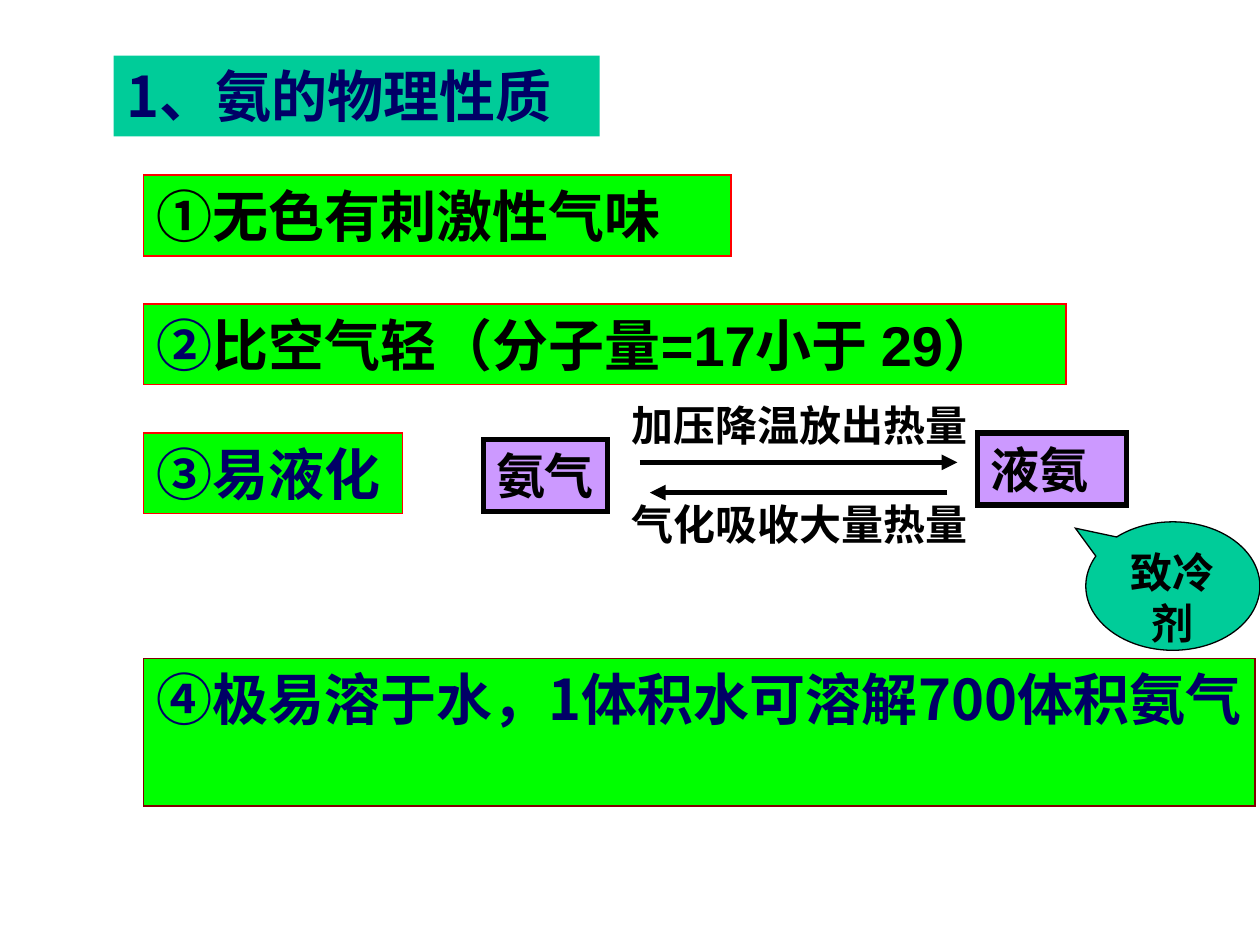
import pptx
import pptx.util
import pptx.dml.color
import pptx.enum.shapes
import pptx.enum.text
import pptx.oxml
import pptx.oxml.ns
from dataclasses import dataclass

Cm, Pt = pptx.util.Cm, pptx.util.Pt
SHAPES = pptx.enum.shapes.MSO_SHAPE
ALIGN = pptx.enum.text.PP_ALIGN
AUTO = pptx.enum.text.MSO_AUTO_SIZE
TOP = pptx.enum.text.MSO_ANCHOR.TOP
NAMES = pptx.oxml.ns.nsdecls("a")


@dataclass(frozen=True)
class Theme:
    teal: str = "00CC99"
    green: str = "00FF00"
    violet: str = "CC99FF"
    navy: str = "000066"
    black: str = "000000"
    red: str = "FF0000"
    maroon: str = "800000"
    chinese: str = "Noto Sans CJK SC"
    latin: str = "Arial"
    large: int = 32
    medium: int = 28
    small: int = 24
    thin: float = 0.75
    thick: float = 3


THEME = Theme()
NAVY = (THEME.chinese, THEME.navy)
BLACK = (THEME.latin, THEME.black)
BLACK_CHINESE = (THEME.chinese, THEME.black)


def colour(value):
    return pptx.dml.color.RGBColor.from_string(value)


def apply(target, formats):
    for name, value in formats.items():
        setattr(target, name, value)


def paint(shape, fill=None, line=None, width=THEME.thin):
    if fill:
        shape.fill.solid()
        shape.fill.fore_color.rgb = colour(fill)
    if line:
        shape.line.color.rgb = colour(line)
        shape.line.width = Pt(width)
        # Square corners
        shape.line._get_or_add_ln().append(
            pptx.oxml.parse_xml(f'<a:miter {NAMES} lim="800000"/>'))
    else:
        shape.line.fill.background()


def write(shape, spans, size, align=ALIGN.LEFT, wrap=True, fit=AUTO.NONE):
    """Write spans of (text, (font, colour)) as one bold paragraph."""
    frame = shape.text_frame
    apply(frame, {"word_wrap": wrap, "auto_size": fit, "vertical_anchor": TOP})
    para = frame.paragraphs[0]
    para.alignment = align
    for text, (font, ink) in spans:
        span = para.add_run()
        span.text = text
        span.font.color.rgb = colour(ink)
        apply(span.font, {"size": Pt(size), "bold": True, "name": font})
        east_asian = pptx.oxml.parse_xml(
            f'<a:ea {NAMES} typeface="{THEME.chinese}"/>')
        span.font._element.find(pptx.oxml.ns.qn("a:latin")).addnext(east_asian)


def add_panel(page, box, fill, line, width=THEME.thin, kind=SHAPES.RECTANGLE):
    panel = page.shapes.add_shape(kind, *map(Cm, box))
    panel.shadow.inherit = False
    paint(panel, fill, line, width)
    return panel


def add_arrow(page, start, end, y):
    arrow = page.shapes.add_connector(
        pptx.enum.shapes.MSO_CONNECTOR.STRAIGHT, Cm(start), Cm(y), Cm(end), Cm(y))
    paint(arrow, line=THEME.black, width=THEME.thick)
    arrow.line._get_or_add_ln().append(
        pptx.oxml.parse_xml(f'<a:tailEnd {NAMES} type="triangle"/>'))
    arrow._element.spPr.append(pptx.oxml.parse_xml(f"<a:effectLst {NAMES}/>"))


def add_title(page, box):
    title = page.shapes.title
    apply(title, dict(zip(("left", "top", "width", "height"), map(Cm, box))))
    paint(title, THEME.teal)
    write(title, [("1、氨的物理性质", NAVY)], THEME.large)


def add_facts(page, left, top):
    # The first three facts share a pitch; the last one sits lower
    pitch = 2.6
    facts = [
        (0, 11.84, 1.63, THEME.red, [("①无色有刺激性气味", BLACK)]),
        (pitch, 18.59, 1.63, THEME.red,
         [("②", NAVY), ("比空气轻（分子量=17小于 29）", BLACK)]),
        (2 * pitch, 5.21, 1.63, THEME.red, [("③易液化", NAVY)]),
        (9.75, 22.4, 2.97, THEME.maroon,
         [("④极易溶于水，1体积水可溶解700体积氨气", NAVY)]),
    ]
    for offset, width, height, line, spans in facts:
        panel = add_panel(page, (left, top + offset, width, height), THEME.green, line)
        write(panel, spans, THEME.large, fit=AUTO.SHAPE_TO_FIT_TEXT)


def add_liquefaction(page, left, top):
    # Gas and liquid states
    states = [("氨气", 0, 0.94, 2.5, False), ("液氨", 9.96, 0.81, 3.0, True)]
    for text, x, y, width, wrap in states:
        panel = add_panel(page, (left + x, top + y, width, 1.45),
                          THEME.violet, THEME.black, THEME.thick)
        write(panel, [(text, BLACK_CHINESE)], THEME.medium, wrap=wrap)

    # Forward and reverse arrows with their conditions
    changes = [("加压降温放出热量", 0, 3.15, 9.55, 1.4),
               ("气化吸收大量热量", 2.01, 9.35, 3.35, 2.01)]
    for text, label_y, start, end, arrow_y in changes:
        label = page.shapes.add_textbox(
            Cm(left + 2.74), Cm(top + label_y), Cm(7.59), Cm(1.27))
        write(label, [(text, BLACK)], THEME.small, fit=AUTO.SHAPE_TO_FIT_TEXT)
        add_arrow(page, left + start, left + end, top + arrow_y)

    # Use of liquid ammonia
    callout = add_panel(page, (left + 12.14, top + 2.6, 3.51, 2.59), THEME.teal,
                        THEME.black, kind=SHAPES.OVAL_CALLOUT)
    callout.adjustments[0] = -0.56
    callout.adjustments[1] = -0.45
    write(callout, [("致冷剂", BLACK)], THEME.small, align=ALIGN.CENTER)


def main():
    deck = pptx.Presentation()
    apply(deck, {"slide_width": Cm(25.4), "slide_height": Cm(19.05)})
    page = deck.slides.add_slide(deck.slide_layouts[5])
    add_title(page, (2.29, 1.12, 9.8, 1.63))
    add_facts(page, 2.9, 3.53)
    add_liquefaction(page, 9.75, 7.92)
    deck.save("out.pptx")


if __name__ == "__main__":
    main()
